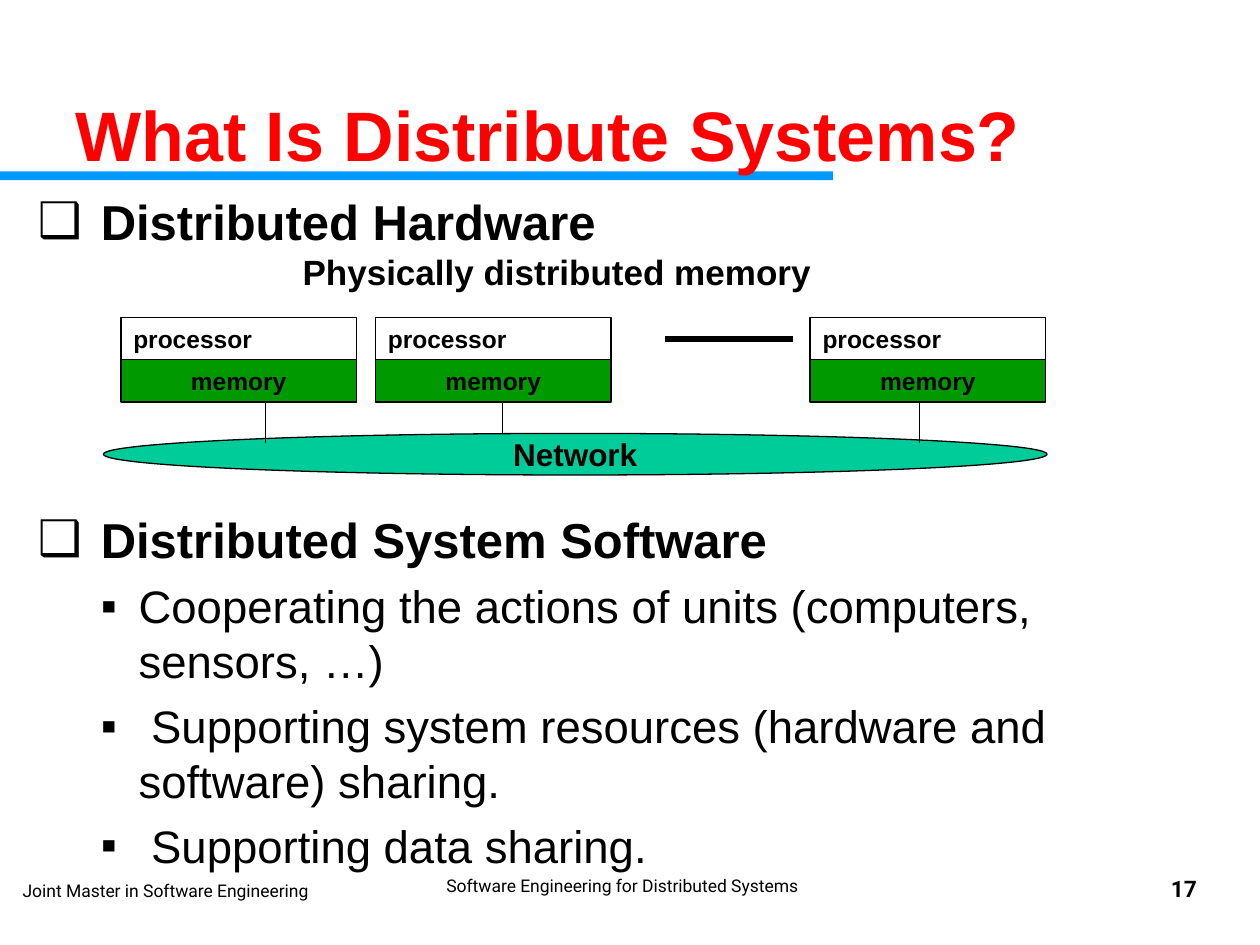
from lxml import etree
from pptx import Presentation, util as u
from pptx.dml.color import RGBColor
from pptx.enum import shapes, text
from pptx.oxml import ns

COLS, ROWS = 100, 75
COLORS = {"ink": "000000", "title": "FF0000", "rule": "0099FF",
          "memory": "009900", "network": "00CC99"}
LEFT, CENTER, RIGHT = text.PP_ALIGN.LEFT, text.PP_ALIGN.CENTER, text.PP_ALIGN.RIGHT
TOP, MIDDLE = text.MSO_ANCHOR.TOP, text.MSO_ANCHOR.MIDDLE

prs = Presentation()
prs.slide_width, prs.slide_height = u.Inches(10), u.Inches(7.5)


def color(name):
    return RGBColor.from_string(COLORS[name])


def cells(*values):
    units = (prs.slide_width / COLS, prs.slide_height / ROWS)
    return [round(v * units[i % 2]) for i, v in enumerate(values)]


def place(sp, box):
    sp.left, sp.top, sp.width, sp.height = cells(*box)


def write(p, content, size, bold=True, ink="ink", font="Arial", align=LEFT,
          spacing=1.0, before=0):
    p.alignment, p.line_spacing, p.space_before = align, spacing, u.Pt(before)
    r = p.add_run()
    r.text = content
    r.font.size, r.font.bold, r.font.name = u.Pt(size), bold, font
    r.font.color.rgb = color(ink)


def frame(sp, anchor=TOP, inset=(0.1, 0.05)):
    tf = sp.text_frame
    tf.word_wrap, tf.auto_size = True, text.MSO_AUTO_SIZE.NONE
    tf.vertical_anchor = anchor
    tf.margin_left = tf.margin_right = u.Inches(inset[0])
    tf.margin_top = tf.margin_bottom = u.Inches(inset[1])
    return tf


def label(s, box, content, size, inset=(0.1, 0.05), **fmt):
    sp = s.shapes.add_textbox(*cells(*box))
    write(frame(sp, inset=inset).paragraphs[0], content, size, **fmt)


def block(s, kind, box, fill=None, line=True):
    sp = s.shapes.add_shape(kind, *cells(*box))
    sp.shadow.inherit = False
    if fill:
        sp.fill.solid()
        sp.fill.fore_color.rgb = color(fill)
    else:
        sp.fill.background()
    if line:
        sp.line.color.rgb, sp.line.width = color("ink"), u.Pt(0.75)
    else:
        sp.line.fill.background()
    return sp


def connect(s, x1, y1, x2, y2, weight=0.75):
    sp = s.shapes.add_connector(shapes.MSO_CONNECTOR.STRAIGHT, *cells(x1, y1, x2, y2))
    sp.line.color.rgb, sp.line.width = color("ink"), u.Pt(weight)
    etree.SubElement(sp._element.spPr, ns.qn("a:effectLst"))


def bullet(p, char, margin, hanging):
    pPr = p._p.get_or_add_pPr()
    pPr.set("marL", str(u.Inches(margin)))
    pPr.set("indent", str(-u.Inches(hanging)))
    clr = etree.SubElement(pPr, ns.qn("a:buClr"))
    etree.SubElement(clr, ns.qn("a:srgbClr")).set("val", COLORS["ink"])
    etree.SubElement(pPr, ns.qn("a:buChar")).set("char", char)


def heading(s, box, content):
    x, y, w, h = box
    block(s, shapes.MSO_SHAPE.RECTANGLE, (0, y + 6.8, 66.1, 0.7), "rule", line=False)
    place(s.shapes.title, box)
    write(frame(s.shapes.title).paragraphs[0], content, 40, ink="title")
    tree = s.shapes._spTree
    tree.append(s.shapes.title._element)


def topic(sp, box, head, items=()):
    place(sp, box)
    tf = frame(sp)
    bullet(tf.paragraphs[0], "❑", 0.5, 0.5)
    write(tf.paragraphs[0], head, 28)
    for item in items:
        p = tf.add_paragraph()
        p.level = 1
        bullet(p, "▪", 0.8, 0.3)
        write(p, item, 26, bold=False, before=6)


def node(s, box):
    x, y, w, h = box
    half = h / 2
    sp = block(s, shapes.MSO_SHAPE.RECTANGLE, (x, y, w, half))
    write(frame(sp).paragraphs[0], "processor", 14)
    sp = block(s, shapes.MSO_SHAPE.RECTANGLE, (x, y + half, w, half), "memory")
    write(frame(sp, MIDDLE).paragraphs[0], "memory", 14, align=CENTER)


def hardware(s, box):
    x, y, w, h = box
    net_h = 3.3
    net_y = y + h - net_h
    label(s, (x, y, 72, 7.7), "Physically distributed memory", 20, align=CENTER)
    net = block(s, shapes.MSO_SHAPE.OVAL, (x, net_y, w, net_h), "network")
    write(frame(net, MIDDLE).paragraphs[0], "Network", 18, align=CENTER)
    for left, link, dip in ((1.4, 12.9, 0.8), (21.6, 31.7, 0), (56.1, 64.8, 0.8)):
        node(s, (x + left, y + 5.8, 18.7, 6.7))
        connect(s, x + link, y + 12.5, x + link, net_y + dip)
    connect(s, x + 44.6, y + 7.5, x + 54.7, y + 7.5, weight=3)


def footer(s, y):
    for box, content, size, bold, align in (
            ((1.8, y + 0.4, 31.7, 5.2), "Joint Master in Software Engineering", 10, False, LEFT),
            ((33.7, y, 31.7, 4.1), "Software Engineering for Distributed Systems ", 10, False, CENTER),
            ((71.7, y, 23.3, 4.1), "17", 13, True, RIGHT)):
        label(s, box, content, size, inset=(0, 0), bold=bold, align=align,
              font="Roboto", spacing=1.01)


def main():
    s = prs.slides.add_slide(prs.slide_layouts.get_by_name("Two Content"))
    heading(s, (5, 6.8, 87.5, 7.7), "What Is Distribute Systems?")
    topic(s.placeholders[1], (2, 14.7, 95.3, 5.7), "Distributed Hardware")
    hardware(s, (8.2, 19.4, 74.9, 18.3))
    topic(s.placeholders[2], (2, 39.9, 95.3, 30.1), "Distributed System Software", (
        "Cooperating the actions of units (computers, sensors, …)",
        " Supporting system resources (hardware and software) sharing.",
        " Supporting data sharing."))
    footer(s, 69.4)
    prs.save("out.pptx")


if __name__ == "__main__":
    main()
